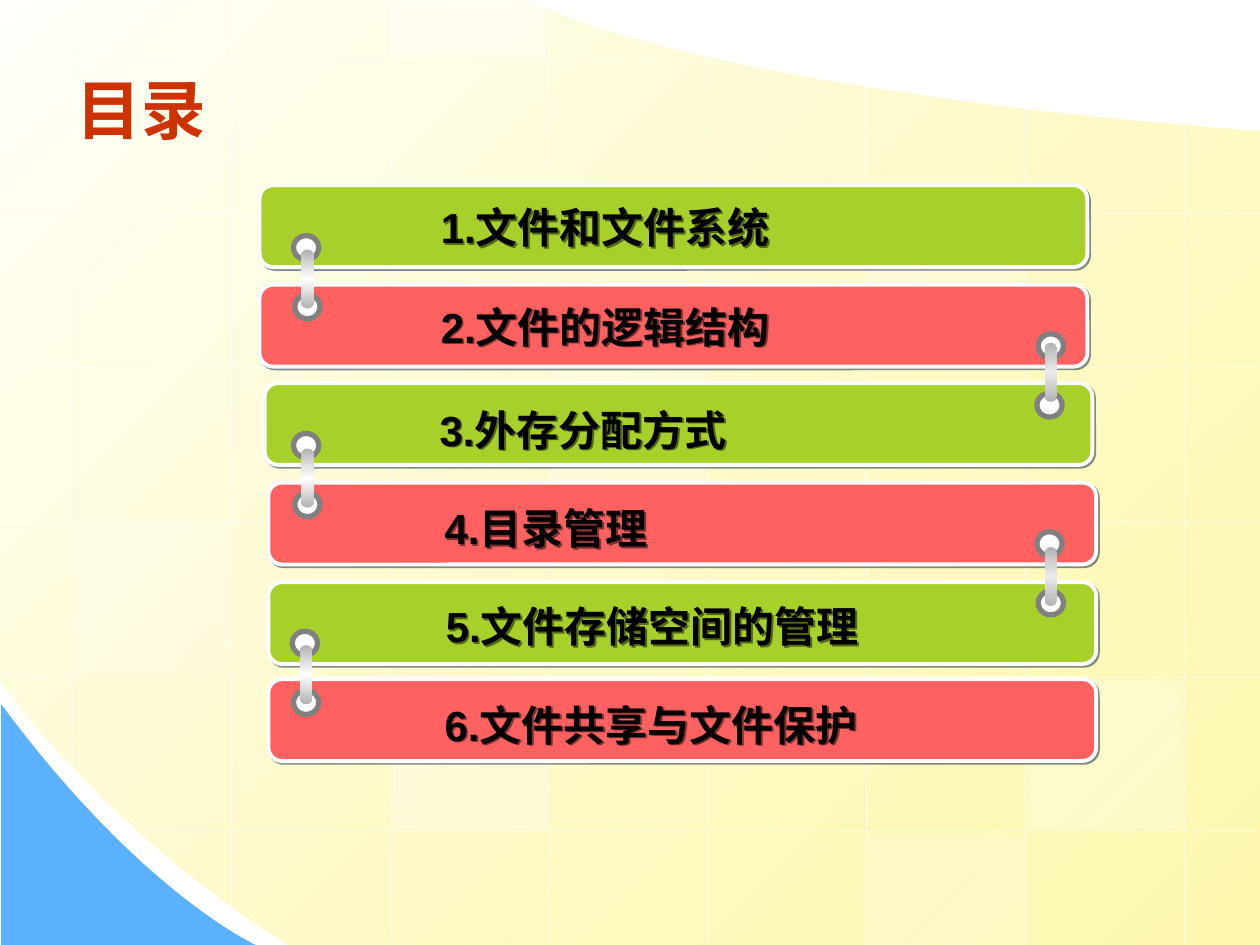
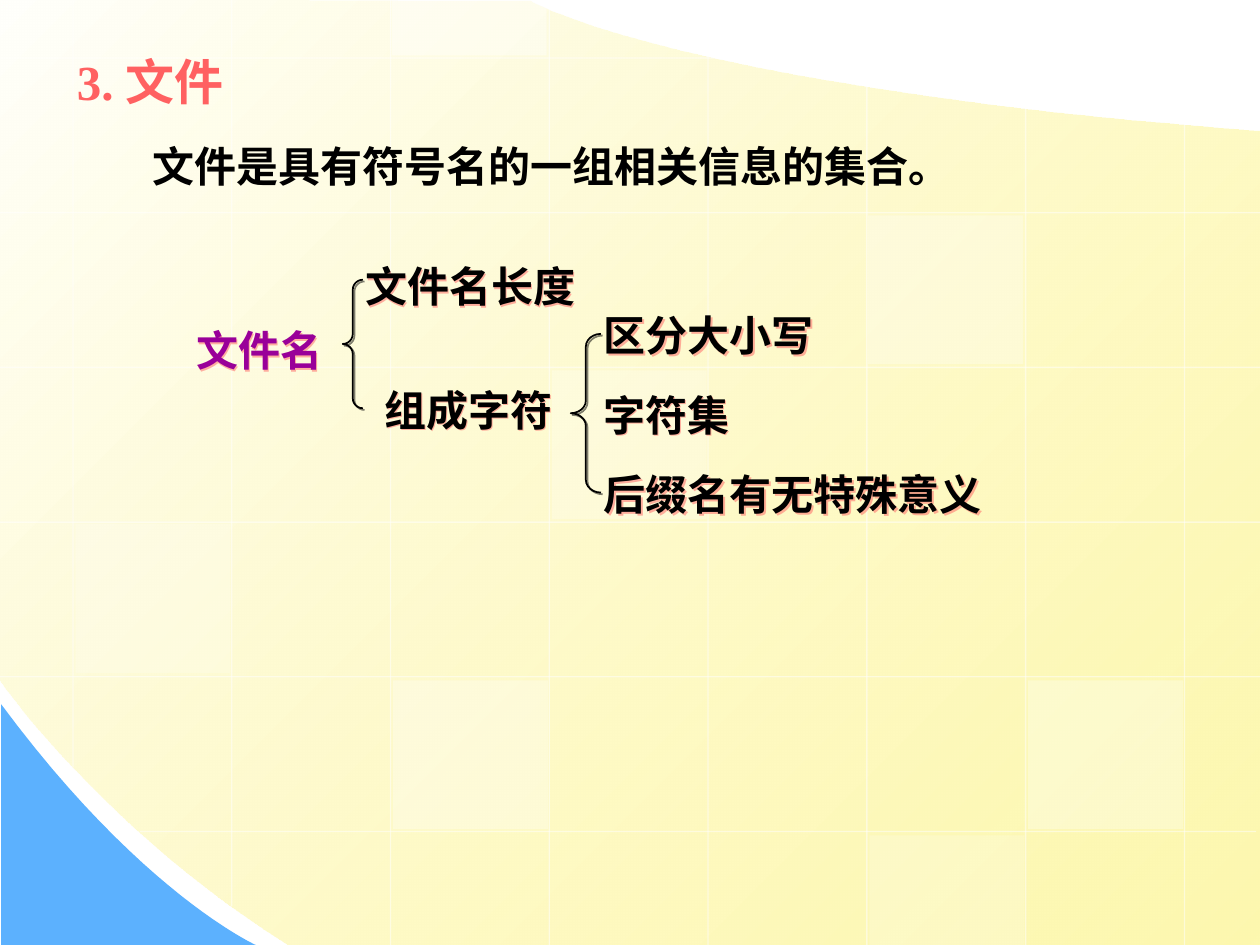
from lxml import etree
from pptx import Presentation
from pptx.dml.color import RGBColor
from pptx.enum.lang import MSO_LANGUAGE_ID
from pptx.enum.shapes import MSO_CONNECTOR, MSO_SHAPE
from pptx.enum.text import MSO_ANCHOR, PP_ALIGN
from pptx.oxml.ns import qn
from pptx.util import Inches, Pt
from copy import deepcopy

RECT, ROUNDED = MSO_SHAPE.RECTANGLE, MSO_SHAPE.ROUNDED_RECTANGLE
OVAL, BRACE = MSO_SHAPE.OVAL, MSO_SHAPE.LEFT_BRACE
STRAIGHT = MSO_CONNECTOR.STRAIGHT
MIDDLE, LEFT = MSO_ANCHOR.MIDDLE, PP_ALIGN.LEFT
CHINESE = MSO_LANGUAGE_ID.SIMPLIFIED_CHINESE

COLORS = {
    "white": "FFFFFF", "black": "000000", "cream": "FFFFFB", "yellow": "FDF58D",
    "blue": "5CB1FE", "title": "CC3300", "green": "A8D02A", "red": "FF6161",
    "bar edge": "FCFCFC", "bar shadow": "001D3A", "ring": "808080",
    "clip": "B2B2B2", "shine": "EAEAEA", "purple": "990099",
}
RGB = {name: RGBColor.from_string(value) for name, value in COLORS.items()}
ITEM_FONT = {"name": "Arial", "size": Pt(24), "bold": True, "language_id": CHINESE}
TITLE_FONT = {**ITEM_FONT, "size": Pt(37)}
HEADING_FONT = {**ITEM_FONT, "name": "Times New Roman", "size": Pt(28)}
DEFINITION_FONT = {**HEADING_FONT, "size": Pt(24)}


def finish(shape, fill=None, line=None, width=1, shadow=None):
    """Set fill, outline and an optional hard shadow to the lower right."""
    if fill:
        shape.fill.solid()
        shape.fill.fore_color.rgb = RGB[fill]
    else:
        shape.fill.background()
    if line:
        shape.line.color.rgb = RGB[line]
        shape.line.width = Pt(width)
    else:
        shape.line.fill.background()
    shape.shadow.inherit = False
    if shadow:
        effects = shape.element.spPr.find(qn("a:effectLst"))
        cast = etree.SubElement(effects, qn("a:outerShdw"), blurRad="0",
                                dist=str(Pt(1.4)), dir="2700000", algn="ctr", rotWithShape="0")
        tint = etree.SubElement(cast, qn("a:srgbClr"), val=COLORS[shadow])
        etree.SubElement(tint, qn("a:alpha"), val="50000")


def write(box, place, text, formats, color):
    """Place a text holder and fill it with one left-aligned paragraph."""
    box.left, box.top, box.width, box.height = map(Inches, place)
    frame = box.text_frame
    frame.word_wrap = True
    frame.text = text
    paragraph = frame.paragraphs[0]
    paragraph.alignment = LEFT
    font = paragraph.runs[0].font
    for attribute, value in formats.items():
        setattr(font, attribute, value)
    font.color.rgb = RGB[color]
    return paragraph


deck = Presentation()
deck.slide_width, deck.slide_height = Inches(10), Inches(7.5)
title_only = deck.slide_layouts[5]
contents = deck.slides.add_slide(title_only)

# Shared backdrop: two curved areas (one point = straight, three = Bezier curve)
areas = [
    [[(10, 1.04)], [(10, 7.5)], [(2.3, 7.5)],
     [(0.86, 6.61), (-0.01, 5.39), (0, 5.39)], [(-0.01, -0.01)], [(4.21, 0.01)],
     [(4.21, 0.01), (5.37, 0.69), (10, 1.04)]],
    [[(0.01, 5.59)], [(0.01, 7.5)], [(2.03, 7.5)],
     [(2.03, 7.5), (1.12, 7.09), (0.01, 5.59)]],
]
backdrop = []
for segments in areas:
    outline = []
    for segment in segments:
        if len(segment) == 1:
            outline += segment
            continue
        knots = [outline[-1]] + segment
        for step in range(1, 25):
            t = step / 24
            weights = ((1 - t) ** 3, 3 * t * (1 - t) ** 2, 3 * t * t * (1 - t), t ** 3)
            outline.append([sum(w * knot[axis] for w, knot in zip(weights, knots))
                            for axis in (0, 1)])
    points = [(Inches(x), Inches(y)) for x, y in outline]
    builder = contents.shapes.build_freeform(*points[0])
    builder.add_line_segments(points[1:], close=True)
    area = builder.convert_to_shape()
    finish(area, "blue")
    backdrop.append(area)

sky = backdrop[0]
sky.fill.gradient()
sky.fill.gradient_angle = 315
for stop, name, position in zip(sky.fill.gradient_stops, ("cream", "yellow"), (0, 1)):
    stop.color.rgb = RGB[name]
    stop.position = position
yellow_stop = list(sky.element.iter(qn("a:srgbClr")))[1]
etree.SubElement(yellow_stop, qn("a:alpha"), val="70000")

# Shared backdrop: faint grid lines and squares
vertical_ends = [(0, 6.09), (0, 7.19), (0, 7.5), (0, 7.5),
                 (0.43, 7.5), (0.68, 7.5), (0.85, 7.5), (0.98, 7.5)]
horizontal_ends = [(0, 5.68), (0, 10), (0, 10), (0, 10), (0, 10), (1.11, 9.97)]
grid = [(0.58 + 1.26 * i, top, 0.58 + 1.26 * i, bottom)
        for i, (top, bottom) in enumerate(vertical_ends)]
grid += [(start, 0.46 + 1.228 * i, end, 0.46 + 1.228 * i)
         for i, (start, end) in enumerate(horizontal_ends)]
faint = []
for ends in grid:
    rule = contents.shapes.add_connector(STRAIGHT, *map(Inches, ends))
    rule.line.color.rgb = RGB["white"]
    rule.line.width = Pt(0.75)
    etree.SubElement(rule.element.spPr, qn("a:effectLst"))
    faint.append((rule, 50))
for left, top, height, opacity in [
    (4.38, 2.94, 1.18, 25), (8.16, 5.4, 1.18, 30), (0.6, 4.16, 1.18, 20),
    (6.9, 6.63, 0.87, 20), (3.11, 0, 0.44, 40), (3.12, 5.4, 1.18, 30),
    (6.89, 1.71, 1.18, 30),
]:
    square = contents.shapes.add_shape(RECT, *map(Inches, (left, top, 1.23, height)))
    finish(square, "white")
    faint.append((square, opacity))
for part, opacity in faint:
    for tint in part.element.iter(qn("a:srgbClr")):
        etree.SubElement(tint, qn("a:alpha"), val=str(opacity * 1000))
    backdrop.append(part)

# Hand the backdrop to the master, behind its placeholders
master_tree = deck.slide_master.shapes.element
for i, part in enumerate(backdrop):
    part.element.xpath(".//p:cNvPr")[0].set("id", str(100 + i))
    master_tree.insert(2 + i, part.element)

# Slide 1: contents
write(contents.shapes.title, (0.51, 0.36, 9, 1.01), "目录", TITLE_FONT, "title")
contents.shapes.title.text_frame.vertical_anchor = MIDDLE

chapters = [
    ("1.文件和文件系统", 2.06, 1.47, 3.4, 1.55),
    ("2.文件的逻辑结构", 2.06, 2.26, 3.4, 2.34),
    ("3.外存分配方式", 2.1, 3.04, 3.39, 3.16),
    ("4.目录管理", 2.13, 3.83, 3.43, 3.94),
    ("5.文件存储空间的管理", 2.13, 4.62, 3.44, 4.72),
    ("6.文件共享与文件保护", 2.13, 5.39, 3.43, 5.5),
]
for i, (chapter, bar_left, bar_top, text_left, text_top) in enumerate(chapters):
    bar = contents.shapes.add_shape(ROUNDED, *map(Inches, (bar_left, bar_top, 6.57, 0.65)))
    finish(bar, ("green", "red")[i % 2], "bar edge", 2.25, "bar shadow")
    label = contents.shapes.add_textbox(0, 0, 0, 0)
    finish(label, shadow="black")
    write(label, (text_left, text_top, 4.43, 0.5), chapter, ITEM_FONT, "black")

# Clips joining neighbouring bars: left, top, lean of lower ring, link drop, shine
for left, top, lean, drop, shine in [
    (2.33, 1.87, 0.01, 0.11, "white"), (8.24, 2.65, -0.01, 0.07, "shine"),
    (2.33, 3.44, 0.01, 0.12, "white"), (8.23, 4.22, 0.01, 0.12, "shine"),
    (2.32, 5.01, 0.01, 0.11, "white"),
]:
    for x, y in [(left, top), (left + lean, top + 0.47)]:
        ring = contents.shapes.add_shape(OVAL, *map(Inches, (x, y, 0.2, 0.19)))
        finish(ring, "white", "ring", 3)
    link = contents.shapes.add_shape(
        ROUNDED, *map(Inches, (min(left, left + lean) + 0.06, top + drop, 0.1, 0.47)))
    link.adjustments[0] = 0.5
    finish(link)
    link.fill.gradient()
    link.fill.gradient_angle = 270
    for stop, position in zip(link.fill.gradient_stops, (0, 1)):
        stop.color.rgb = RGB["clip"]
        stop.position = position
    first_stop = link.element.find(".//" + qn("a:gs"))
    middle_stop = deepcopy(first_stop)
    middle_stop.set("pos", "50000")
    middle_stop.find(qn("a:srgbClr")).set("val", COLORS[shine])
    first_stop.addnext(middle_stop)

# Slide 2: what a file is
file_slide = deck.slides.add_slide(title_only)
write(file_slide.shapes.title, (0.51, 0.36, 3.83, 0.57), "3. 文件", HEADING_FONT, "red")
file_slide.shapes.title.text_frame.vertical_anchor = MIDDLE
definition = write(file_slide.shapes.add_textbox(0, 0, 0, 0), (1.11, 0.91, 8.3, 0.66),
                   "文件是具有符号名的一组相关信息的集合。", DEFINITION_FONT, "black")
definition.line_spacing = 1.4

# Tree of file name properties
for term, left, top, width, color in [
    ("文件名", 1.46, 2.53, 1.57, "purple"), ("文件名长度", 2.8, 2.02, 2.05, "black"),
    ("组成字符", 2.95, 3, 1.65, "black"), ("区分大小写", 4.69, 2.41, 2.28, "black"),
    ("字符集", 4.69, 3.04, 1.73, "black"), ("后缀名有无特殊意义", 4.69, 3.67, 3.62, "black"),
]:
    label = file_slide.shapes.add_textbox(0, 0, 0, 0)
    finish(label, shadow="red")
    write(label, (left, top, width, 0.5), term, ITEM_FONT, color)
for place, curl in [((2.72, 2.22, 0.16, 1.02), 0.5), ((4.53, 2.65, 0.24, 1.26), 0.42)]:
    brace = file_slide.shapes.add_shape(BRACE, *map(Inches, place))
    brace.adjustments[0] = curl
    finish(brace, line="black", shadow="black")

deck.save("out.pptx")
